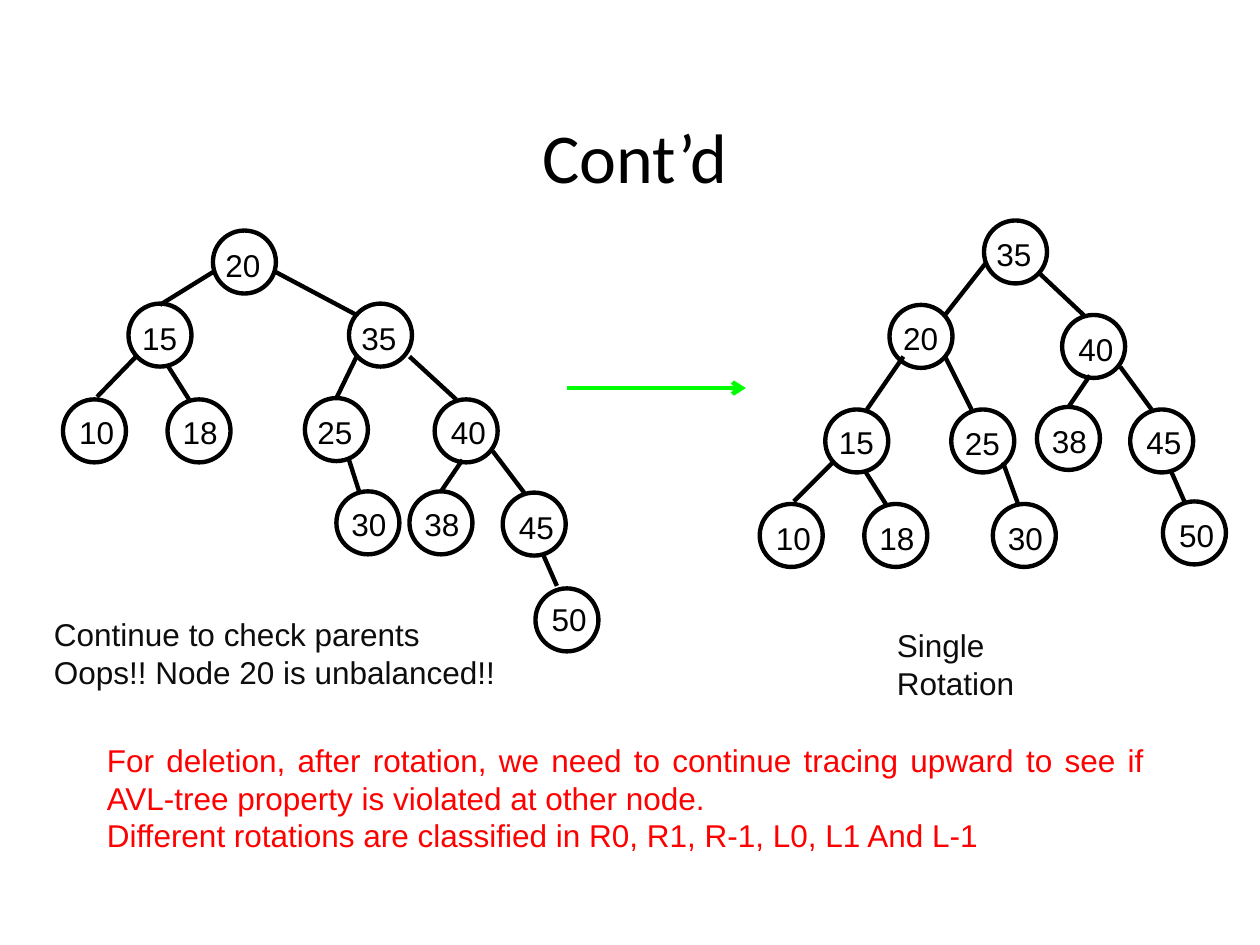
from pptx import Presentation
from pptx.dml.color import RGBColor
from pptx.enum.shapes import MSO_CONNECTOR, MSO_SHAPE
from pptx.enum.text import MSO_ANCHOR, MSO_AUTO_SIZE, PP_ALIGN
from pptx.oxml.ns import qn
from pptx.util import Inches, Pt
from lxml import etree

STRAIGHT = MSO_CONNECTOR.STRAIGHT
OVAL = MSO_SHAPE.OVAL
MIDDLE = MSO_ANCHOR.MIDDLE
FIT_SHAPE = MSO_AUTO_SIZE.SHAPE_TO_FIT_TEXT
LEFT, CENTER, JUSTIFY = PP_ALIGN.LEFT, PP_ALIGN.CENTER, PP_ALIGN.JUSTIFY

BLACK, DARK, RED, GREEN = "000000", "0D0D0D", "FF0000", "00FF00"
DIAMETER = 0.5
LINE_WIDTH = 2.5

# value, circle left and top, label left and top
UNBALANCED_NODES = [
    ("20", 1.69, 1.83, 1.69, 1.9),
    ("15", 1.02, 2.41, 1.03, 2.48),
    ("35", 2.77, 2.41, 2.77, 2.48),
    ("10", 0.5, 3.17, 0.53, 3.23),
    ("18", 1.33, 3.17, 1.35, 3.23),
    ("25", 2.42, 3.16, 2.42, 3.23),
    ("40", 3.45, 3.17, 3.48, 3.23),
    ("30", 2.67, 3.9, 2.69, 3.96),
    ("38", 3.25, 3.9, 3.27, 3.96),
    ("45", 3.99, 3.91, 4.02, 3.98),
    ("50", 4.25, 4.67, 4.28, 4.71),
]
UNBALANCED_EDGES = [
    (1.69, 2.16, 1.27, 2.42),
    (2.19, 2.16, 2.83, 2.5),
    (1.08, 2.83, 0.77, 3.15),
    (1.33, 2.9, 1.5, 3.17),
    (2.83, 2.83, 2.67, 3.16),
    (3.25, 2.83, 3.62, 3.17),
    (2.77, 3.65, 2.85, 3.9),
    (3.67, 3.65, 3.5, 3.9),
    (3.91, 3.58, 4.16, 3.91),
    (4.31, 4.4, 4.42, 4.65),
]
ROTATED_NODES = [
    ("35", 7.81, 1.75, 7.81, 1.82),
    ("20", 7.06, 2.42, 7.07, 2.48),
    ("40", 8.43, 2.5, 8.46, 2.57),
    ("15", 6.55, 3.25, 6.56, 3.31),
    ("25", 7.55, 3.25, 7.56, 3.32),
    ("38", 8.23, 3.23, 8.25, 3.3),
    ("45", 8.97, 3.25, 9, 3.31),
    ("10", 6.03, 4, 6.06, 4.07),
    ("18", 6.86, 4, 6.88, 4.07),
    ("30", 7.88, 4, 7.9, 4.07),
    ("50", 9.23, 3.98, 9.26, 4.05),
]
ROTATED_EDGES = [
    (7.83, 2.08, 7.5, 2.5),
    (8.25, 2.17, 8.6, 2.5),
    (7.17, 2.83, 6.88, 3.25),
    (7.5, 2.83, 7.71, 3.25),
    (8.65, 2.98, 8.48, 3.23),
    (8.89, 2.91, 9.14, 3.25),
    (6.61, 3.67, 6.3, 3.98),
    (6.86, 3.73, 7.03, 4),
    (7.96, 3.67, 8.08, 4),
    (9.29, 3.73, 9.4, 3.98),
]


def color(value):
    return RGBColor.from_string(value)


def style_paragraph(paragraph, font_name, size, font_color, alignment):
    paragraph.alignment = alignment
    paragraph.font.name = font_name
    paragraph.font.size = Pt(size)
    paragraph.font.color.rgb = color(font_color)


def set_title(slide, text):
    title = slide.shapes.title
    title.left, title.top = Inches(0.5), Inches(0.77)
    title.width, title.height = Inches(9.08), Inches(0.98)
    title.text_frame.text = text
    title.text_frame.vertical_anchor = MIDDLE
    paragraph = title.text_frame.paragraphs[0]
    paragraph.line_spacing = 0.97
    style_paragraph(paragraph, "Calibri", 40, BLACK, CENTER)


def add_text(slide, lines, left, top, width, height, font_color,
             alignment=LEFT, wrap=True):
    box = slide.shapes.add_textbox(
        Inches(left), Inches(top), Inches(width), Inches(height))
    frame = box.text_frame
    frame.word_wrap = wrap
    frame.auto_size = FIT_SHAPE
    frame.text = "\n".join(lines)
    for paragraph in frame.paragraphs:
        style_paragraph(paragraph, "Arial", 18, font_color, alignment)


def add_line(slide, start_x, start_y, end_x, end_y, line_color=BLACK):
    connector = slide.shapes.add_connector(
        STRAIGHT, Inches(start_x), Inches(start_y), Inches(end_x), Inches(end_y))
    connector.line.color.rgb = color(line_color)
    connector.line.width = Pt(LINE_WIDTH)
    etree.SubElement(connector.element.spPr, qn("a:effectLst"))
    return connector


def add_arrow(slide, start_x, start_y, end_x, end_y, line_color):
    connector = add_line(slide, start_x, start_y, end_x, end_y, line_color)
    line = connector.element.spPr.find(qn("a:ln"))
    etree.SubElement(line, qn("a:tailEnd"), type="arrow")


def add_node(slide, value, left, top, label_left, label_top):
    circle = slide.shapes.add_shape(
        OVAL, Inches(left), Inches(top), Inches(DIAMETER), Inches(DIAMETER))
    circle.shadow.inherit = False
    circle.fill.background()
    circle.line.color.rgb = color(BLACK)
    circle.line.width = Pt(LINE_WIDTH)
    add_text(slide, [value], label_left, label_top, 0.48, 0.4, BLACK, wrap=False)


def add_tree(slide, nodes, edges):
    for edge in edges:
        add_line(slide, *edge)
    for node in nodes:
        add_node(slide, *node)


def main():
    presentation = Presentation()
    presentation.slide_width = Inches(10)
    presentation.slide_height = Inches(7.5)
    slide = presentation.slides.add_slide(presentation.slide_layouts[5])

    set_title(slide, "Cont’d")
    add_text(slide, [
        "For deletion, after rotation, we need to continue tracing upward "
        "to see if AVL-tree property is violated at other node.",
        "Different rotations are classified in R0, R1, R-1, L0, L1 And L-1",
    ], 0.75, 5.83, 8.43, 1, RED, JUSTIFY)
    add_tree(slide, UNBALANCED_NODES, UNBALANCED_EDGES)
    add_tree(slide, ROTATED_NODES, ROTATED_EDGES)
    add_text(slide, ["Continue to check parents", "Oops!! Node 20 is unbalanced!!"],
             0.33, 4.83, 4.09, 0.7, DARK)
    add_arrow(slide, 4.5, 3.08, 5.92, 3.08, GREEN)
    add_text(slide, ["Single Rotation"], 7.02, 4.92, 1.89, 0.4, DARK, wrap=False)

    presentation.save("out.pptx")


if __name__ == "__main__":
    main()
